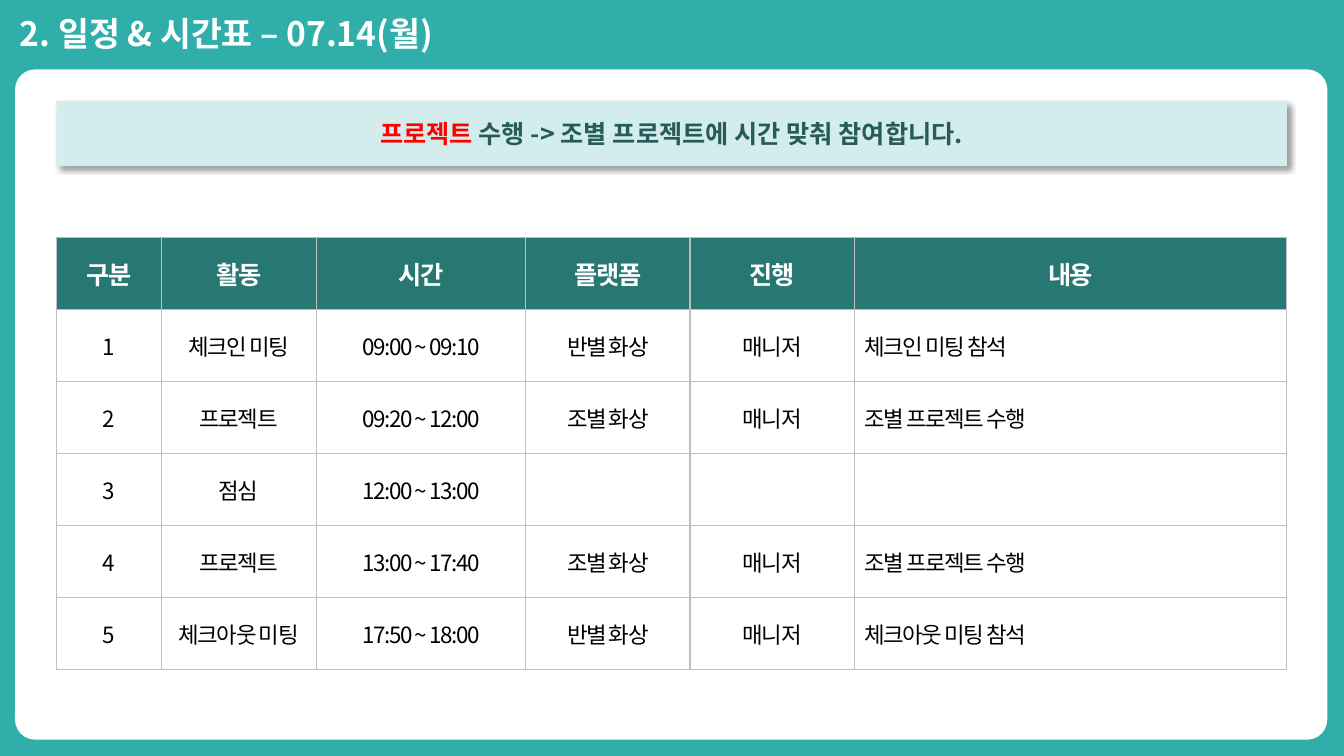
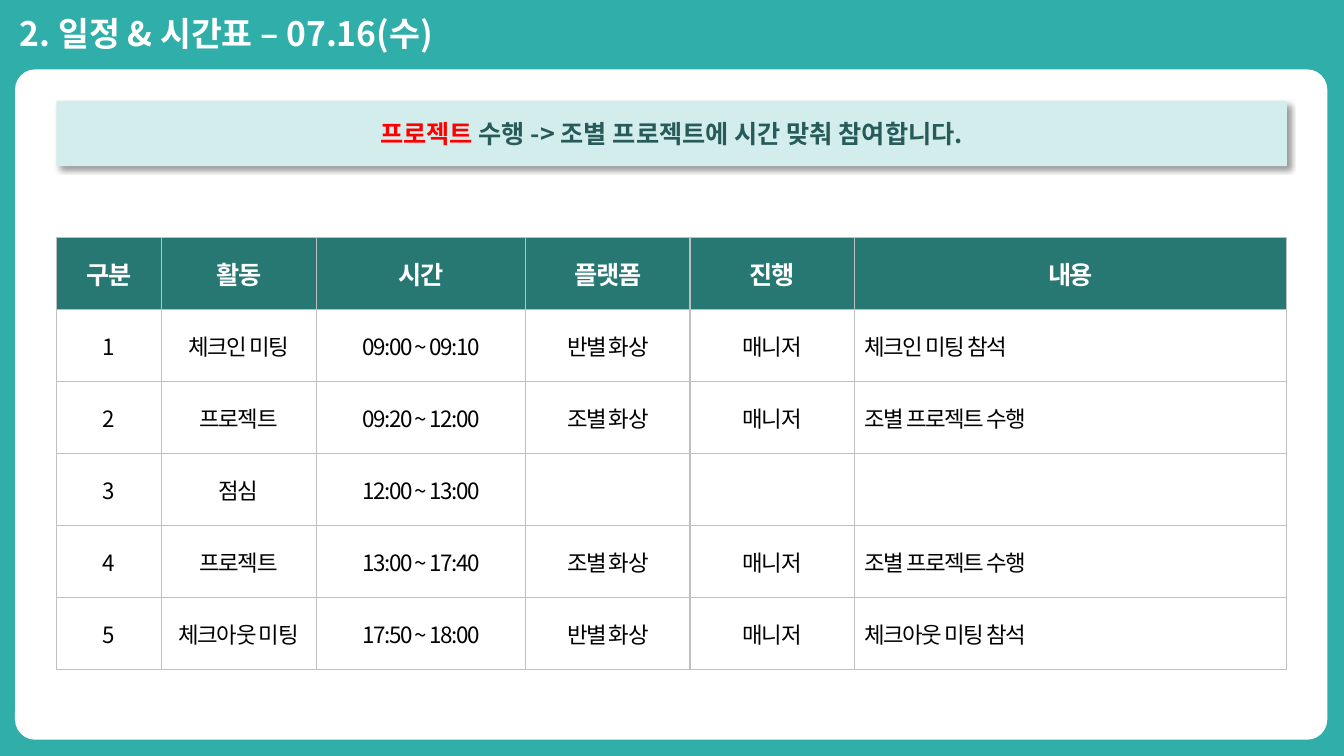
import pptx
import pptx.dml.color
import pptx.enum.shapes
import pptx.enum.text
import pptx.oxml
import pptx.oxml.ns
import pptx.util
from lxml import etree

Cm = pptx.util.Cm
Pt = pptx.util.Pt
ALIGN = pptx.enum.text.PP_ALIGN
ANCHOR = pptx.enum.text.MSO_ANCHOR
SHAPE = pptx.enum.shapes.MSO_SHAPE

FONT = "Noto Sans CJK KR"
TEAL, DARK_TEAL, PALE_TEAL = "30AEAA", "277872", "D3EDEC"
INK_TEAL, RED, GREY = "275B5A", "FF0000", "BFBFBF"
WHITE, BLACK = "FFFFFF", "000000"

# Boxes are left, top, width, height in centimetres.
SLIDE_SIZE = (33.87, 19.05)
TITLE_BOX = (0.25, 0.2, 12.85, 1.27)
PANEL_BOX = (0.38, 1.75, 33.07, 16.89)
BANNER_BOX = (1.42, 2.54, 31.01, 1.65)
TABLE_BOX = (1.42, 5.99, 31.01, 10.89)
COLUMN_WIDTHS = (2.64, 3.91, 5.28, 4.14, 4.14, 10.9)

HEADINGS = ("구분", "활동", "시간", "플랫폼", "진행", "내용")
SCHEDULE = (
    ("체크인 미팅", "09:00 ~ 09:10", "반별 화상", "매니저", "체크인 미팅 참석"),
    ("프로젝트", "09:20 ~ 12:00", "조별 화상", "매니저", "조별 프로젝트 수행"),
    ("점심", "12:00 ~ 13:00", "", "", ""),
    ("프로젝트", "13:00 ~ 17:40", "조별 화상", "매니저", "조별 프로젝트 수행"),
    ("체크아웃 미팅", "17:50 ~ 18:00", "반별 화상", "매니저", "체크아웃 미팅 참석"),
)
DAYS = ("07.14(월)", "07.16(수)")


def rgb(value):
    return pptx.dml.color.RGBColor.from_string(value)


def paint(fill, colour):
    fill.solid()
    fill.fore_color.rgb = rgb(colour)


def lengths(box):
    return [Cm(value) for value in box]


def format_span(span, size, colour, bold=False, spacing=None):
    span.font.size = Pt(size)
    span.font.bold = bold
    span.font.color.rgb = rgb(colour)
    span.font.name = FONT
    properties = span.font._element
    etree.SubElement(properties, pptx.oxml.ns.qn("a:ea"), typeface=FONT)
    if spacing is not None:
        properties.set("spc", str(spacing * 100))


def add_panel(page, box, preset, colour):
    panel = page.shapes.add_shape(preset, *lengths(box))
    panel.shadow.inherit = False
    paint(panel.fill, colour)
    panel.line.fill.background()
    return panel


def add_title(page, box, text):
    frame = page.shapes.add_textbox(*lengths(box)).text_frame
    frame.word_wrap = True
    frame.auto_size = pptx.enum.text.MSO_AUTO_SIZE.SHAPE_TO_FIT_TEXT
    frame.text = text
    format_span(frame.paragraphs[0].runs[0], 24, WHITE, bold=True)


def add_drop_shadow(shape):
    effects = shape._element.spPr.find(pptx.oxml.ns.qn("a:effectLst"))
    effects.append(pptx.oxml.parse_xml(
        f'<a:outerShdw {pptx.oxml.ns.nsdecls("a")} blurRad="{Pt(4)}" '
        f'dist="{Pt(3)}" dir="2700000" algn="tl" rotWithShape="0">'
        f'<a:srgbClr val="{BLACK}"><a:alpha val="40000"/></a:srgbClr>'
        '</a:outerShdw>'))


def add_banner(page, box):
    banner = add_panel(page, box, SHAPE.RECTANGLE, PALE_TEAL)
    add_drop_shadow(banner)
    frame = banner.text_frame
    frame.word_wrap = False
    frame.vertical_anchor = ANCHOR.MIDDLE
    para = frame.paragraphs[0]
    para.alignment = ALIGN.CENTER
    for text, colour in (("프로젝트 ", RED),
                         ("수행 -> 조별 프로젝트에 시간 맞춰 참여합니다.", INK_TEAL)):
        span = para.add_run()
        span.text = text
        format_span(span, 18, colour, bold=True)


def add_borders(cell):
    properties = cell._tc.get_or_add_tcPr()
    for side in ("lnL", "lnR", "lnT", "lnB"):
        properties.append(pptx.oxml.parse_xml(
            f'<a:{side} {pptx.oxml.ns.nsdecls("a")} w="{Pt(1)}"><a:solidFill>'
            f'<a:srgbClr val="{GREY}"/></a:solidFill></a:{side}>'))


def fill_cell(cell, text, heading, centred):
    add_borders(cell)
    cell.vertical_anchor = ANCHOR.MIDDLE
    if heading:
        paint(cell.fill, DARK_TEAL)
    else:
        cell.fill.background()
    if not text:
        return
    cell.text_frame.text = text
    para = cell.text_frame.paragraphs[0]
    para.alignment = ALIGN.CENTER if centred else ALIGN.LEFT
    size, colour = (18, WHITE) if heading else (16, BLACK)
    format_span(para.runs[0], size, colour, bold=heading, spacing=-1)


def add_timetable(page, box):
    rows = [HEADINGS]
    rows += [(str(number), *row) for number, row in enumerate(SCHEDULE, 1)]
    table = page.shapes.add_table(len(rows), len(HEADINGS), *lengths(box)).table
    table.first_row = table.horz_banding = False
    for column, width in zip(table.columns, COLUMN_WIDTHS):
        column.width = Cm(width)
    last = len(HEADINGS) - 1
    for r, row in enumerate(rows):
        table.rows[r].height = Cm(box[3] / len(rows))
        for c, text in enumerate(row):
            heading = r == 0
            fill_cell(table.cell(r, c), text, heading, heading or c < last)


def add_day_page(deck, day):
    page = deck.slides.add_slide(deck.slide_layouts[6])
    paint(page.background.fill, TEAL)
    add_title(page, TITLE_BOX, f"2. 일정 & 시간표 – {day}")
    panel = add_panel(page, PANEL_BOX, SHAPE.ROUNDED_RECTANGLE, WHITE)
    panel.adjustments[0] = 0.03
    add_banner(page, BANNER_BOX)
    add_timetable(page, TABLE_BOX)


def main():
    deck = pptx.Presentation()
    deck.slide_width, deck.slide_height = lengths(SLIDE_SIZE)
    for day in DAYS:
        add_day_page(deck, day)
    deck.save("out.pptx")


if __name__ == "__main__":
    main()
